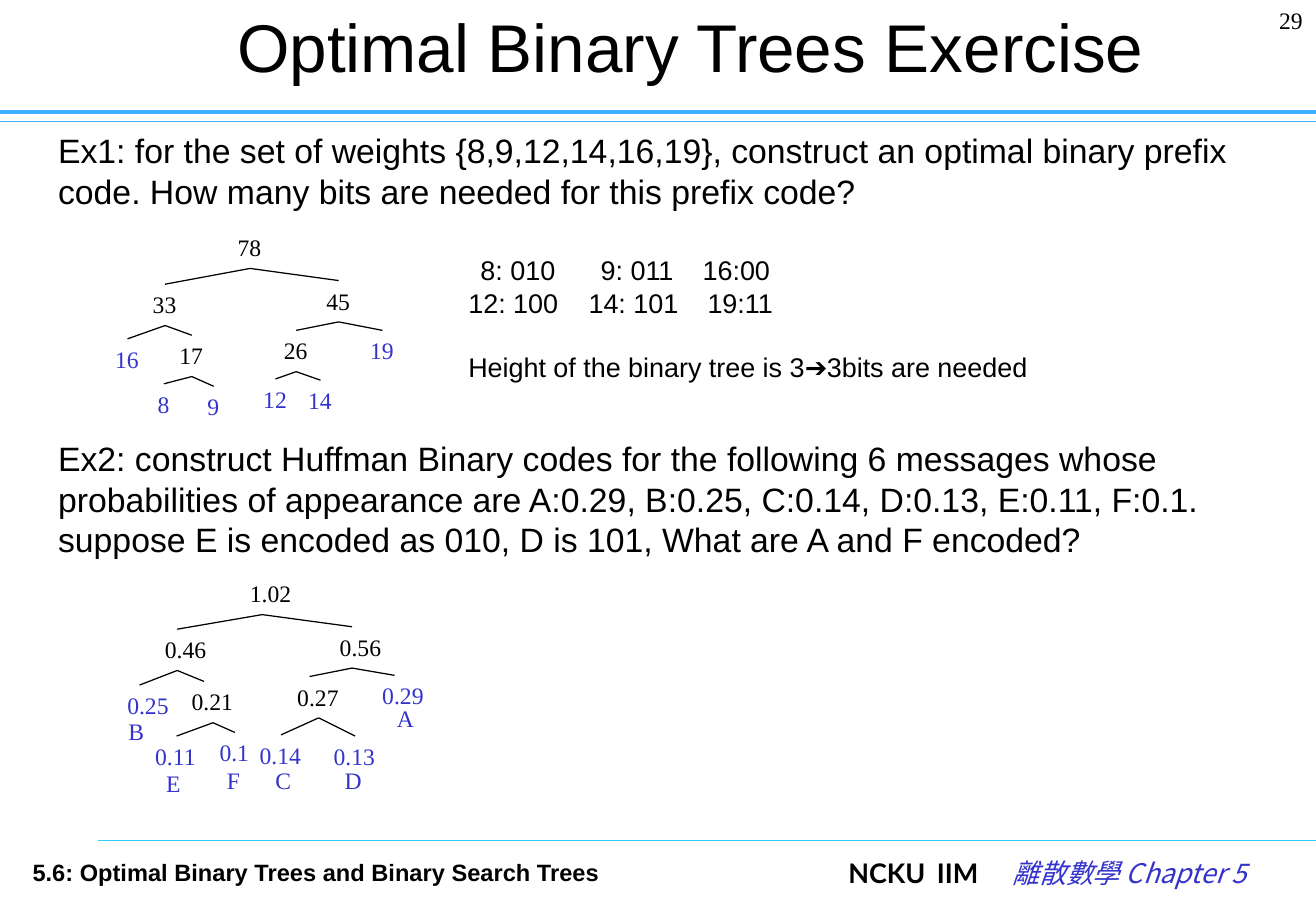
from dataclasses import dataclass

from lxml.etree import SubElement
from pptx import Presentation
from pptx.dml.color import RGBColor
from pptx.enum.shapes import MSO_CONNECTOR
from pptx.enum.text import MSO_ANCHOR, MSO_AUTO_SIZE, PP_ALIGN
from pptx.oxml.ns import qn
from pptx.util import Inches, Pt

BLACK, BLUE, RULE, FOOT_RULE = "000000", "3333CC", "3DB0FF", "33CCFF"
SERIF, SANS, LATO, CJK = "Times New Roman", "Arial", "Lato", "Noto Sans CJK SC"


@dataclass
class Node:
    text: str
    left: float
    top: float
    width: float
    parent: str = ""


@dataclass
class Rule:
    left: float
    top: float
    color: str
    weight: float


def rgb(color: str) -> RGBColor:
    return RGBColor.from_string(color)


def set_font(font, name: str, size: float, color: str, bold=False, italic=False) -> None:
    font.name, font.size, font.bold, font.italic = name, Pt(size), bold, italic
    font.color.rgb = rgb(color)


def set_tabs(p, stops: list[float]) -> None:
    tabs = SubElement(p._p.get_or_add_pPr(), qn("a:tabLst"))
    for stop in stops:
        SubElement(tabs, qn("a:tab"), pos=str(Inches(stop)), algn="l")


def add_box(slide, left: float, top: float, width: float, height: float, wrap=True):
    sp = slide.shapes.add_textbox(Inches(left), Inches(top), Inches(width), Inches(height))
    sp.text_frame.word_wrap = wrap
    return sp


def add_label(slide, text: str, left: float, top: float, width: float, height: float,
              name=SERIF, size=14.0, color=BLACK, bold=False):
    sp = add_box(slide, left, top, width, height, wrap=False)
    sp.text_frame.auto_size = MSO_AUTO_SIZE.SHAPE_TO_FIT_TEXT
    p = sp.text_frame.paragraphs[0]
    p.text = text
    set_font(p.font, name, size, color, bold)
    return sp


def add_line(slide, x1: float, y1: float, x2: float, y2: float, color=BLACK, weight=0.75):
    line = slide.shapes.add_connector(
        MSO_CONNECTOR.STRAIGHT, Inches(x1), Inches(y1), Inches(x2), Inches(y2))
    line.line.color.rgb = rgb(color)
    line.line.width = Pt(weight)
    SubElement(line._element.spPr, qn("a:effectLst"))
    return line


def add_tree(slide, nodes: list[Node], inset: float = 0) -> None:
    """Edges join box middles; with an inset, those between inner levels start there."""
    height = 0.34
    parents = {n.parent for n in nodes}
    by_text = {n.text: n for n in nodes}
    lowest_row = max(n.top for n in nodes) - 0.1
    boxes = {}
    for n in nodes:
        color = BLACK if n.text in parents else BLUE
        boxes[n.text] = add_label(slide, n.text, n.left, n.top, n.width, height, color=color)
    for n in nodes:
        if not n.parent:
            continue
        up = by_text[n.parent]
        joined = not inset or n.top > lowest_row
        dx_up, dx = (up.width / 2, n.width / 2) if joined else (inset, inset)
        edge = add_line(slide, up.left + dx_up, up.top + height, n.left + dx, n.top)
        if joined:
            edge.begin_connect(boxes[up.text], 2)
            edge.end_connect(boxes[n.text], 0)


WEIGHT_TREE = [
    Node("78", 1.86, 1.87, 0.4),
    Node("33", 1.16, 2.34, 0.4, "78"), Node("45", 2.59, 2.31, 0.4, "78"),
    Node("16", 0.85, 2.79, 0.4, "33"), Node("17", 1.38, 2.76, 0.4, "33"),
    Node("26", 2.24, 2.72, 0.4, "45"), Node("19", 2.95, 2.72, 0.4, "45"),
    Node("8", 1.2, 3.16, 0.3, "17"), Node("9", 1.61, 3.18, 0.3, "17"),
    Node("12", 2.07, 3.12, 0.4, "26"), Node("14", 2.44, 3.13, 0.4, "26"),
]
HUFFMAN_TREE = [
    Node("1.02", 1.96, 4.72, 0.55),
    Node("0.46", 1.26, 5.18, 0.55, "1.02"), Node("0.56", 2.7, 5.16, 0.55, "1.02"),
    Node("0.25", 0.95, 5.64, 0.55, "0.46"), Node("0.21", 1.48, 5.61, 0.55, "0.46"),
    Node("0.27", 2.35, 5.57, 0.55, "0.56"), Node("0.29", 3.05, 5.56, 0.55, "0.56"),
    Node("0.11", 1.18, 6.06, 0.55, "0.21"), Node("0.1", 1.71, 6.03, 0.45, "0.21"),
    Node("0.14", 2.04, 6.05, 0.55, "0.27"), Node("0.13", 2.65, 6.06, 0.55, "0.27"),
]
MESSAGES = [
    Node("A", 3.17, 5.75, 0.35), Node("B", 0.96, 5.85, 0.34), Node("C", 2.17, 6.26, 0.34),
    Node("D", 2.74, 6.26, 0.35), Node("E", 1.27, 6.28, 0.33), Node("F", 1.77, 6.26, 0.32),
]
RULES = [Rule(0, 1, RULE, 0.75), Rule(0, 0.92, RULE, 2.5), Rule(0.81, 6.92, FOOT_RULE, 0.75)]
# Text, space before in points, tab stops in inches
EXERCISES = [
    ("Ex1: for the set of weights {8,9,12,14,16,19}, construct an optimal binary prefix "
     "code. How many bits are needed for this prefix code?", 0, []),
    ("Ex2: construct Huffman Binary codes for the following 6 messages whose "
     "probabilities of appearance are A:0.29, B:0.25, C:0.14, D:0.13, E:0.11, F:0.1. "
     "suppose E is encoded as 010, D is 101, What are A and F encoded?", 134.5, []),
]
ANSWER = [
    ("\t8: 010\t9: 011\t16:00", 0, [0.1, 1.09, 1.93]),
    ("12: 100\t14: 101\t19:11", 0, [0.99, 1.97]),
    ("Height of the binary tree is 3➔3bits are needed", 19, []),
]


def add_paragraphs(sp, rows: list[tuple], size: float) -> None:
    tf = sp.text_frame
    for i, (text, before, stops) in enumerate(rows):
        p = tf.add_paragraph() if i else tf.paragraphs[0]
        p.text = text
        if before:
            p.space_before = Pt(before)
        if stops:
            set_tabs(p, stops)
        set_font(p.font, SANS, size, BLACK)


def add_footer(slide) -> None:
    add_label(slide, "5.6: Optimal Binary Trees and Binary Search Trees",
              0.17, 7.01, 5.16, 0.34, SANS, bold=True)
    p = add_box(slide, 6.89, 7, 3.6, 0.5).text_frame.paragraphs[0]
    set_tabs(p, [0.73, 1.35])
    r = p.add_run()
    r.text = "NCKU\tIIM\t"
    set_font(r.font, LATO, 16, BLACK, bold=True)
    r = p.add_run()
    r.text = "離散數學 Chapter 5"
    set_font(r.font, CJK, 16, BLUE, italic=True)
    SubElement(r.font._element, qn("a:ea"), typeface=CJK)


def main() -> None:
    prs = Presentation()
    prs.slide_width, prs.slide_height = Inches(10.84), Inches(7.5)
    slide = prs.slides.add_slide(prs.slide_layouts[5])

    # Rules, page number and title
    for rule in RULES:
        add_line(slide, rule.left, rule.top, 10.84, rule.top, rule.color, rule.weight)
    p = add_box(slide, 9.93, 0, 0.9, 0.5).text_frame.paragraphs[0]
    p.text, p.alignment = "29", PP_ALIGN.RIGHT
    set_font(p.font, SERIF, 14, BLACK)
    title = slide.shapes.title
    title.left, title.top, title.width, title.height = map(Inches, (1.44, 0, 8.49, 0.75))
    tf = title.text_frame
    tf.text = "Optimal Binary Trees Exercise"
    tf.auto_size, tf.vertical_anchor = MSO_AUTO_SIZE.NONE, MSO_ANCHOR.MIDDLE
    tf.paragraphs[0].alignment = PP_ALIGN.CENTER
    set_font(tf.paragraphs[0].font, SANS, 40, BLACK)

    # Exercises and the answer to the first
    add_paragraphs(add_box(slide, 0.38, 1.02, 10.45, 5.92), EXERCISES, 20)
    add_paragraphs(add_box(slide, 3.76, 2.04, 5, 1.17), ANSWER, 16)

    # Trees
    add_tree(slide, WEIGHT_TREE)
    add_tree(slide, HUFFMAN_TREE, inset=0.2)
    for m in MESSAGES:
        add_label(slide, m.text, m.left, m.top, m.width, 0.34, color=BLUE)

    add_footer(slide)
    prs.save("out.pptx")


if __name__ == "__main__":
    main()
